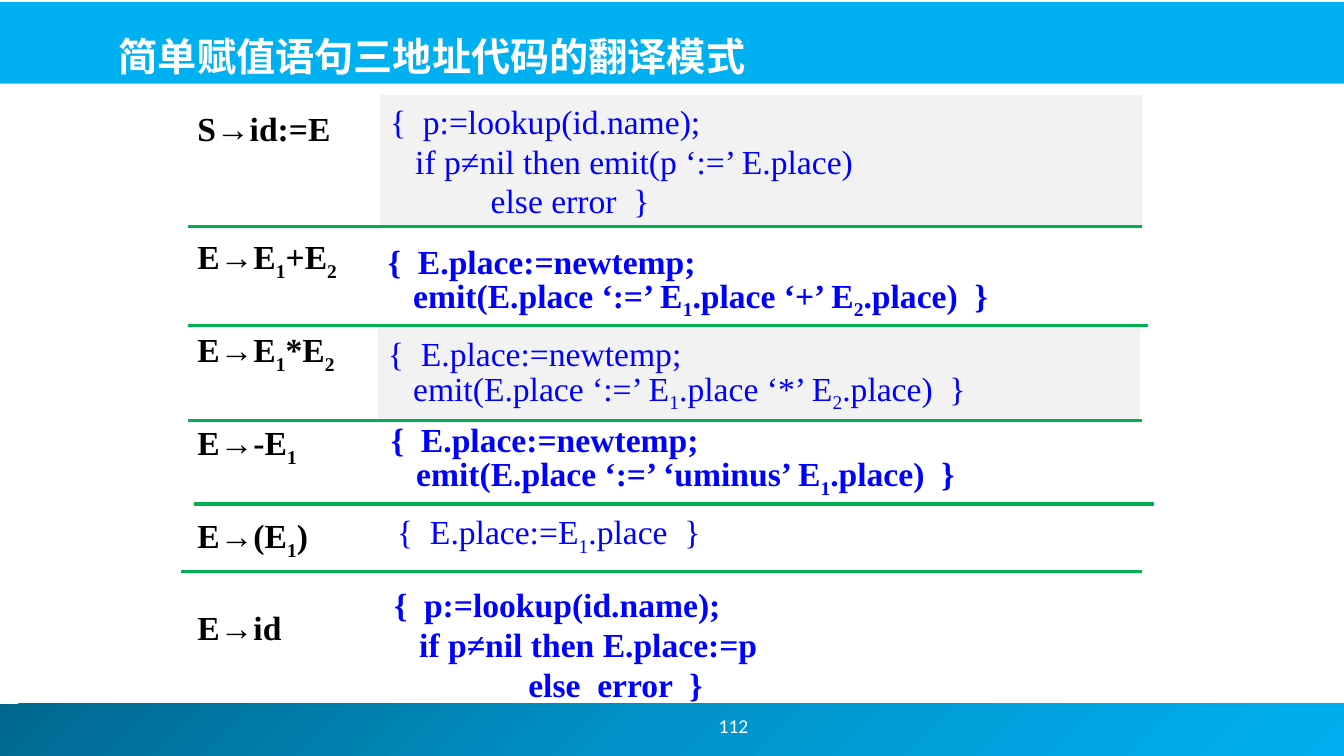
from lxml import etree
from pptx import Presentation
from pptx import util as u
from pptx.dml.color import RGBColor
from pptx.enum import shapes, text
from pptx.oxml import ns

SKY = RGBColor(0x00, 0xB0, 0xF0)
WHITE = RGBColor(0xFF, 0xFF, 0xFF)
BLACK = RGBColor(0x00, 0x00, 0x00)
BLUE = RGBColor(0x00, 0x00, 0xFF)
GREEN = RGBColor(0x00, 0xB0, 0x50)
PALE = RGBColor(0xF2, 0xF2, 0xF2)
FOOTER_STOPS = [(0, "00688E"), (50, "0094CA"), (100, "00B0F0")]
SERIF = "Times New Roman"

# Space in points before each production; "_" lowers the next character
PRODUCTIONS = [
    ("S→id:=E", 0),
    ("E→E_1+E_2", 67.7),
    ("E→E_1*E_2", 38.4),
    ("E→-E_1", 38.4),
    ("E→(E_1)", 38.4),
    ("E→id", 33.4),
]

# Box, code lines, bold, shaded
ACTIONS = [
    ((3.77, 0.94, 7.56, 1.31),
     ["{  p:=lookup(id.name);",
      "   if p≠nil then emit(p ‘:=’ E.place)",
      "            else error  }"], False, True),
    ((3.75, 2.33, 6.24, 0.91),
     ["{  E.place:=newtemp;",
      "   emit(E.place ‘:=’ E_1.place ‘+’ E_2.place)  }"], True, False),
    ((3.75, 3.25, 7.56, 0.91),
     ["{  E.place:=newtemp;",
      "   emit(E.place ‘:=’ E_1.place ‘*’ E_2.place)  }"], False, True),
    ((3.78, 4.1, 5.86, 0.91),
     ["{  E.place:=newtemp;",
      "   emit(E.place ‘:=’ ‘uminus’ E_1.place)  }"], True, False),
    ((3.84, 5.08, 7.55, 0.5), ["{  E.place:=E_1.place  }"], False, False),
    ((3.81, 5.74, 6, 1.31),
     ["{  p:=lookup(id.name);",
      "   if p≠nil then E.place:=p",
      "                else  error  }"], True, False),
]

# Left, right and height of each rule between rows
RULES = [(1.86, 11.33, 2.25), (1.86, 11.39, 3.23), (1.86, 11.33, 4.17),
         (1.92, 11.45, 5), (1.8, 11.33, 5.67)]


def inches(values):
    return [u.Inches(value) for value in values]


def add_span(para, words, size, font, color, bold, lowered=False):
    span = para.add_run()
    span.text = words
    span.font.size = u.Pt(size)
    span.font.name = font
    span.font.bold = bold
    span.font.color.rgb = color
    props = span.font._element
    etree.SubElement(props, ns.qn("a:ea")).set("typeface", font)
    if lowered:
        props.set("baseline", "-25000")


def write(para, words, size=24, font=SERIF, color=BLACK, bold=False,
          align=text.PP_ALIGN.LEFT, before=0, pitch=None):
    """Fill a paragraph, lowering each character that follows "_"."""
    para.alignment = align
    para.space_before = u.Pt(before)
    if pitch:
        para.line_spacing = u.Pt(pitch)
    first, *others = words.split("_")
    add_span(para, first, size, font, color, bold)
    for piece in others:
        add_span(para, piece[0], size, font, color, bold, lowered=True)
        if piece[1:]:
            add_span(para, piece[1:], size, font, color, bold)


def add_panel(page, area, color):
    panel = page.shapes.add_shape(shapes.MSO_SHAPE.RECTANGLE, *inches(area))
    panel.shadow.inherit = False
    panel.fill.solid()
    panel.fill.fore_color.rgb = color
    panel.line.fill.background()
    return panel


def add_words(page, area, lines, anchor=text.MSO_ANCHOR.MIDDLE, shade=None,
              **style):
    """Place lines, each a string or a (string, space before) pair."""
    if shade is None:
        box = page.shapes.add_textbox(*inches(area))
    else:
        box = add_panel(page, area, shade)
    frame = box.text_frame
    frame.word_wrap = True
    frame.vertical_anchor = anchor
    for index, line in enumerate(lines):
        para = frame.add_paragraph() if index else frame.paragraphs[0]
        words, before = line if isinstance(line, tuple) else (line, 0)
        write(para, words, before=before, **style)


def add_header(page, area):
    left, top, width, height = area
    add_panel(page, area, SKY)
    add_words(page, (left + 1.1, top + 0.03, 11.81, height - 0.02),
              ["简单赋值语句三地址代码的翻译模式"],
              anchor=text.MSO_ANCHOR.BOTTOM, size=28,
              font="Noto Sans CJK JP", color=WHITE, bold=True)


def add_footer(page, area):
    left, top, width, height = area
    band = add_panel(page, area, SKY)
    # Three-stop diagonal gradient
    solid = band._element.spPr.find(ns.qn("a:solidFill"))
    gradient = etree.Element(ns.qn("a:gradFill"), rotWithShape="1")
    stops = etree.SubElement(gradient, ns.qn("a:gsLst"))
    for percent, color in FOOTER_STOPS:
        stop = etree.SubElement(stops, ns.qn("a:gs"), pos=str(percent * 1000))
        etree.SubElement(stop, ns.qn("a:srgbClr"), val=color)
    etree.SubElement(gradient, ns.qn("a:lin"), ang="2700000", scaled="1")
    solid.getparent().replace(solid, gradient)
    # Page number
    add_words(page, (left + 5.88, top - 0.03, 2.89, 0.5), ["112"], size=14,
              font="Calibri", color=WHITE, align=text.PP_ALIGN.CENTER)


def add_rule(page, left, right, height):
    rule = page.shapes.add_connector(shapes.MSO_CONNECTOR.STRAIGHT,
                                     *inches((left, height, right, height)))
    rule.line.color.rgb = GREEN
    rule.line.width = u.Pt(2.25)
    etree.SubElement(rule._element.spPr, ns.qn("a:effectLst"))


def add_scheme(page, area):
    """Productions on the left, semantic actions on the right."""
    add_words(page, area, PRODUCTIONS, anchor=text.MSO_ANCHOR.TOP,
              bold=True, pitch=28)
    for place, lines, bold, shaded in ACTIONS:
        add_words(page, place, lines, shade=PALE if shaded else None,
                  color=BLUE, bold=bold, pitch=28.5)
    for rule in RULES:
        add_rule(page, *rule)


def main():
    deck = Presentation()
    deck.slide_width, deck.slide_height = inches((13.33, 7.5))
    page = deck.slides.add_slide(deck.slide_layouts[6])
    add_footer(page, (-0.05, 6.98, 13.39, 0.52))
    add_header(page, (-0.02, 0.02, 13.36, 0.81))
    add_scheme(page, (1.86, 1.03, 2.22, 5.83))
    deck.save("out.pptx")


if __name__ == "__main__":
    main()
